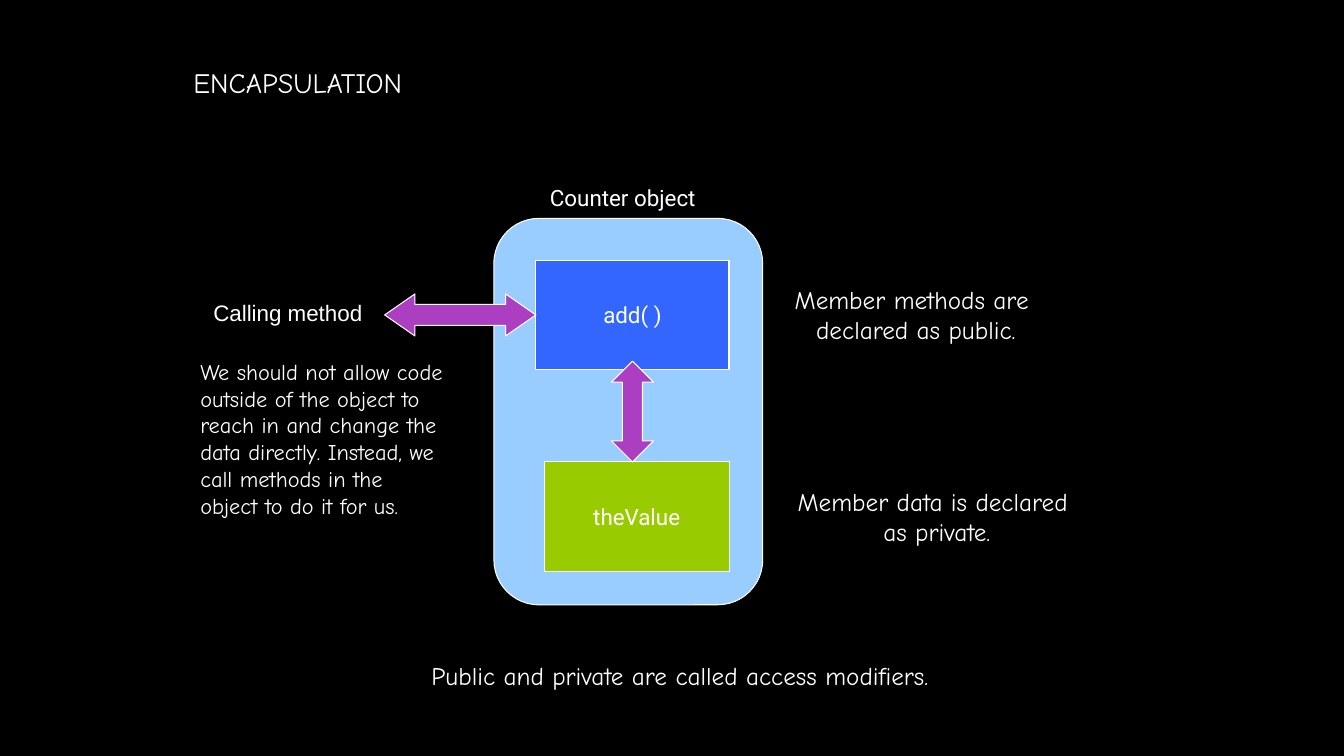
from dataclasses import dataclass

from pptx import Presentation
from pptx.dml.color import RGBColor
from pptx.enum.shapes import MSO_SHAPE
from pptx.enum.text import MSO_ANCHOR, MSO_AUTO_SIZE, PP_ALIGN
from pptx.util import Pt


@dataclass(frozen=True)
class Theme:
    background: str = "000000"
    ink: str = "FFFFFF"
    counter: str = "99CCFF"
    method: str = "3366FF"
    data: str = "99CC00"
    arrow: str = "AC3EC1"
    hand: str = "Comic Neue"
    label: str = "Roboto"
    caller: str = "Arial"
    title_size: int = 20
    note_size: int = 18
    body_size: int = 16
    outline: float = 0.75


class Diagram:
    def __init__(self, slide, theme):
        self.slide = slide
        self.theme = theme
        slide.background.fill.solid()
        slide.background.fill.fore_color.rgb = RGBColor.from_string(theme.background)

    def add_lines(self, frame, lines, font, size, align):
        for index, line in enumerate(lines):
            paragraph = frame.add_paragraph() if index else frame.paragraphs[0]
            paragraph.alignment = align
            run = paragraph.add_run()
            run.text = line
            run.font.name = font
            run.font.size = Pt(size)
            run.font.color.rgb = RGBColor.from_string(self.theme.ink)

    def text(self, box, lines, font, size, align=PP_ALIGN.LEFT, wrap=False):
        frame = self.slide.shapes.add_textbox(*map(Pt, box)).text_frame
        frame.word_wrap = wrap
        frame.auto_size = MSO_AUTO_SIZE.SHAPE_TO_FIT_TEXT
        self.add_lines(frame, lines, font, size, align)
        return frame

    def title(self, box, heading):
        frame = self.text(box, [heading], self.theme.hand, self.theme.title_size, wrap=True)
        frame.auto_size = MSO_AUTO_SIZE.NONE
        frame.vertical_anchor = MSO_ANCHOR.MIDDLE

    def note(self, box, lines):
        self.text(box, lines, self.theme.hand, self.theme.note_size, PP_ALIGN.CENTER)

    def shape(self, kind, box, fill, adjustments=()):
        shape = self.slide.shapes.add_shape(kind, *map(Pt, box))
        shape.shadow.inherit = False
        shape.fill.solid()
        shape.fill.fore_color.rgb = RGBColor.from_string(fill)
        shape.line.color.rgb = RGBColor.from_string(self.theme.ink)
        shape.line.width = Pt(self.theme.outline)
        for index, value in enumerate(adjustments):
            shape.adjustments[index] = value
        return shape

    def member(self, box, fill, name):
        frame = self.shape(MSO_SHAPE.RECTANGLE, box, fill).text_frame
        frame.word_wrap = False
        frame.vertical_anchor = MSO_ANCHOR.MIDDLE
        self.add_lines(frame, [name], self.theme.label, self.theme.body_size, PP_ALIGN.CENTER)


def main():
    theme = Theme()
    presentation = Presentation()
    presentation.slide_width = Pt(960)
    presentation.slide_height = Pt(540)
    diagram = Diagram(presentation.slides.add_slide(presentation.slide_layouts[6]), theme)

    diagram.title((131, 42, 199.5, 33), "ENCAPSULATION")

    diagram.shape(MSO_SHAPE.ROUNDED_RECTANGLE, (352.8, 156, 192, 276), theme.counter, [0.167])
    diagram.text((385.8, 128, 119.5, 26.6), ["Counter object"], theme.label, theme.body_size)
    diagram.member((382.8, 186, 138, 78), theme.method, "add( )")
    diagram.member((388.8, 330, 132, 78), theme.data, "theValue")

    diagram.text((145.3, 210, 122.4, 26.6), ["Calling method"], theme.caller, theme.body_size)
    diagram.shape(MSO_SHAPE.LEFT_RIGHT_ARROW, (274.8, 210, 108, 30), theme.arrow, [0.5, 0.72])
    diagram.shape(MSO_SHAPE.UP_DOWN_ARROW, (436.8, 258, 30, 72), theme.arrow, [0.5, 0.48])

    diagram.text(
        (136, 252, 207.4, 123.8),
        [
            "We should not allow code",
            "outside of the object to reach in and change the data directly. "
            "Instead, we call methods in the",
            "object to do it for us.",
        ],
        theme.hand, theme.body_size, wrap=True,
    )

    diagram.note((553.7, 343.5, 231, 51), ["Member data is declared ", "as private."])
    diagram.note((553.7, 199.5, 201, 51), ["Member methods are ", "declared as public."])
    diagram.note((280.8, 468, 409.7, 29), ["Public and private are called access modifiers."])

    presentation.save("out.pptx")


if __name__ == "__main__":
    main()
